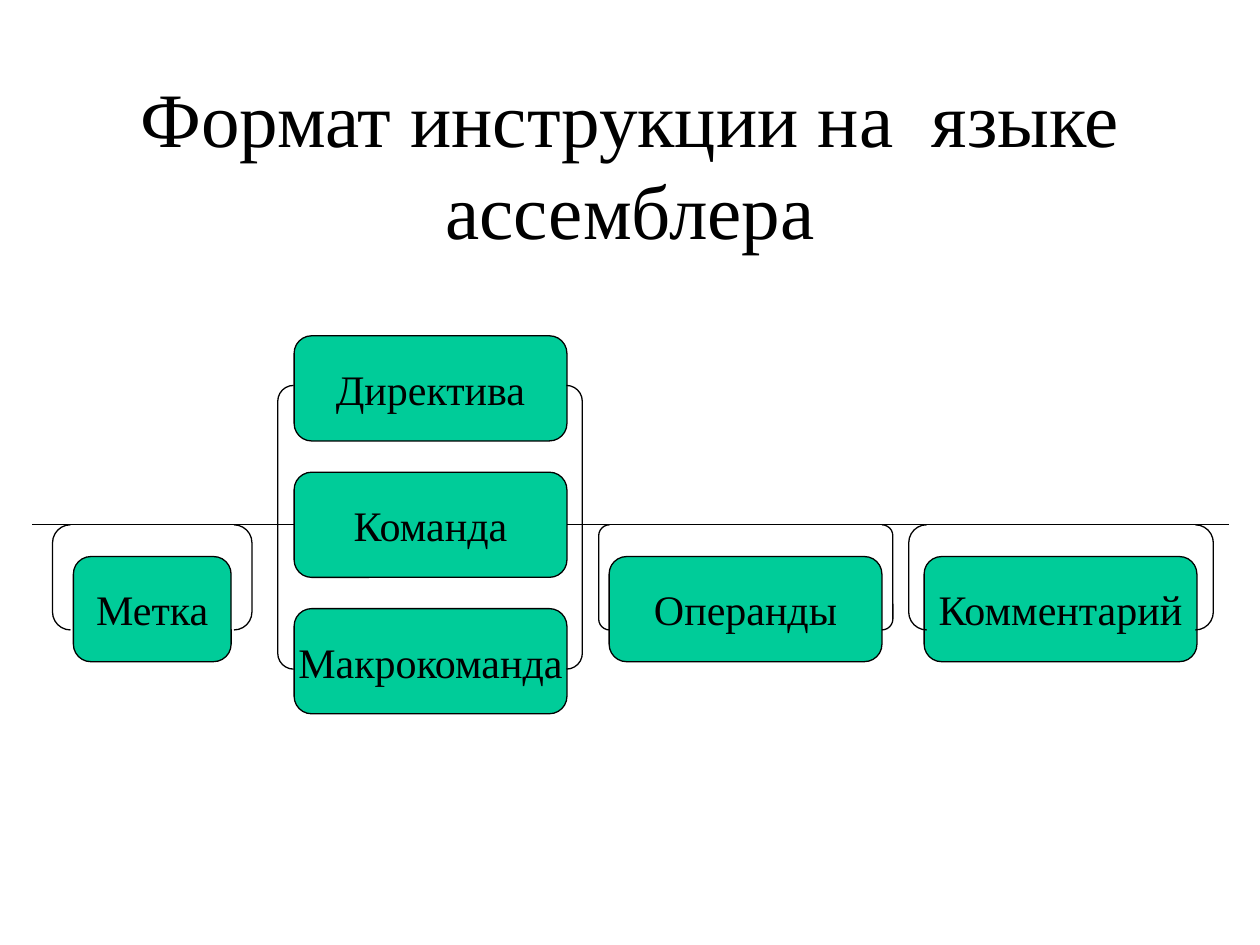
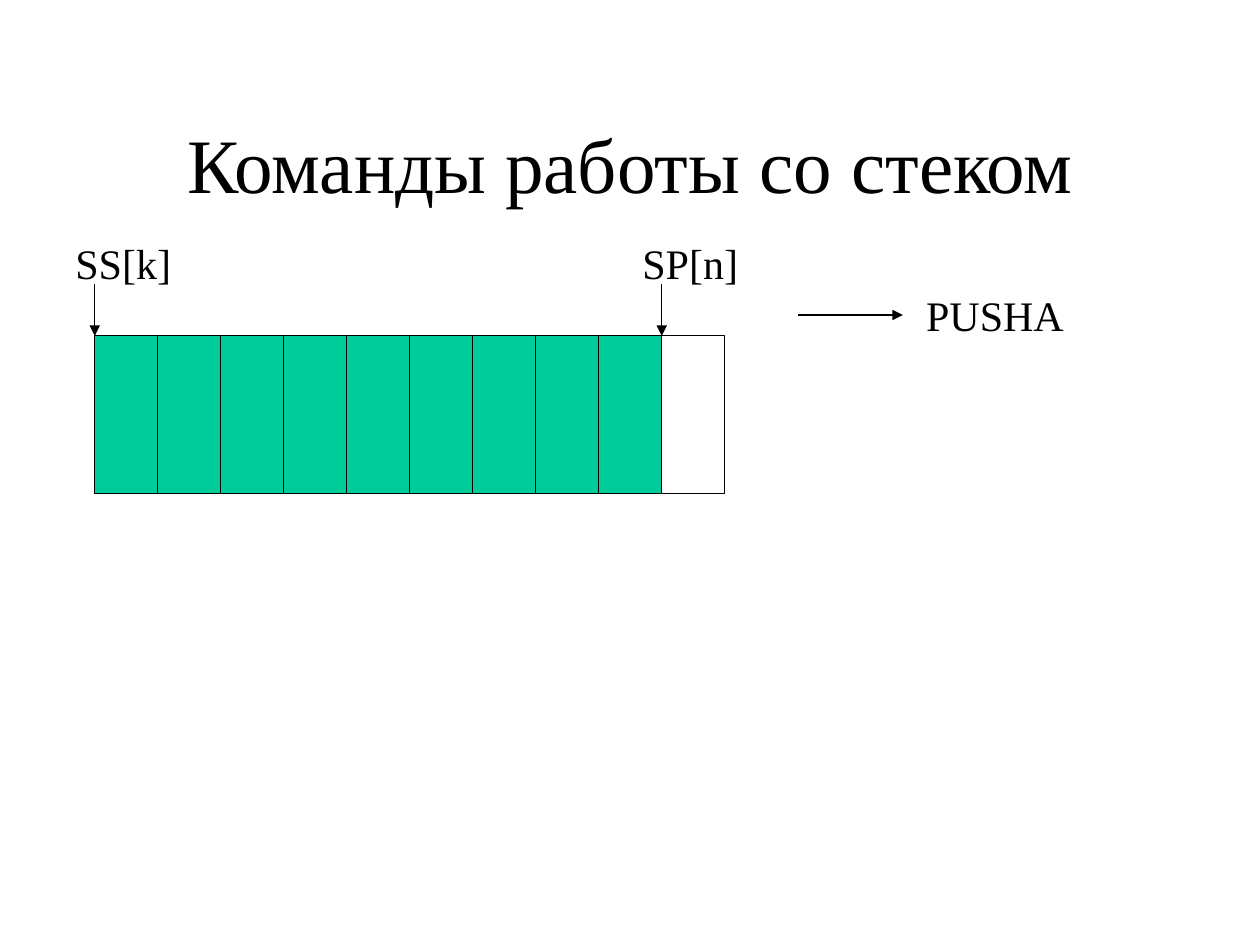
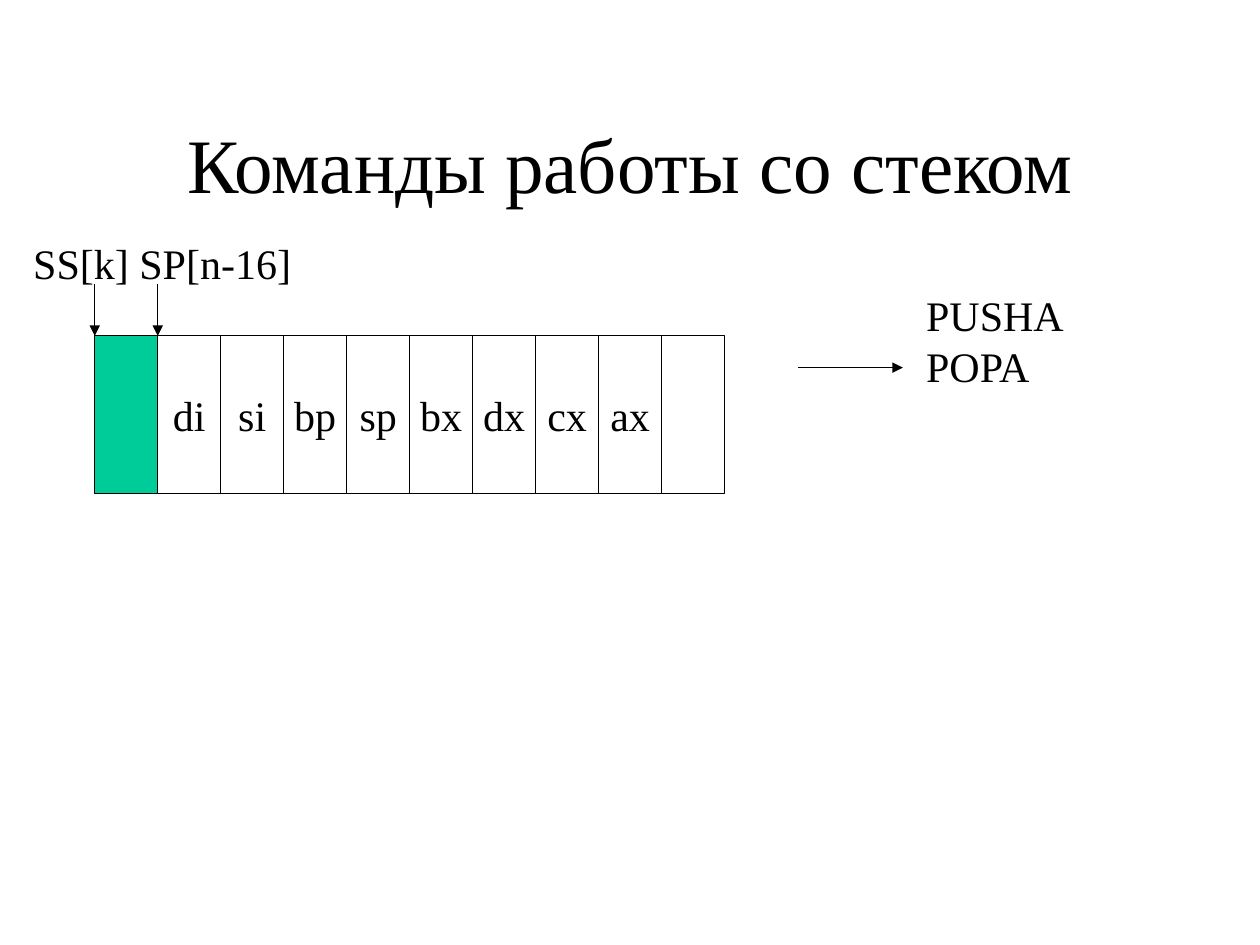
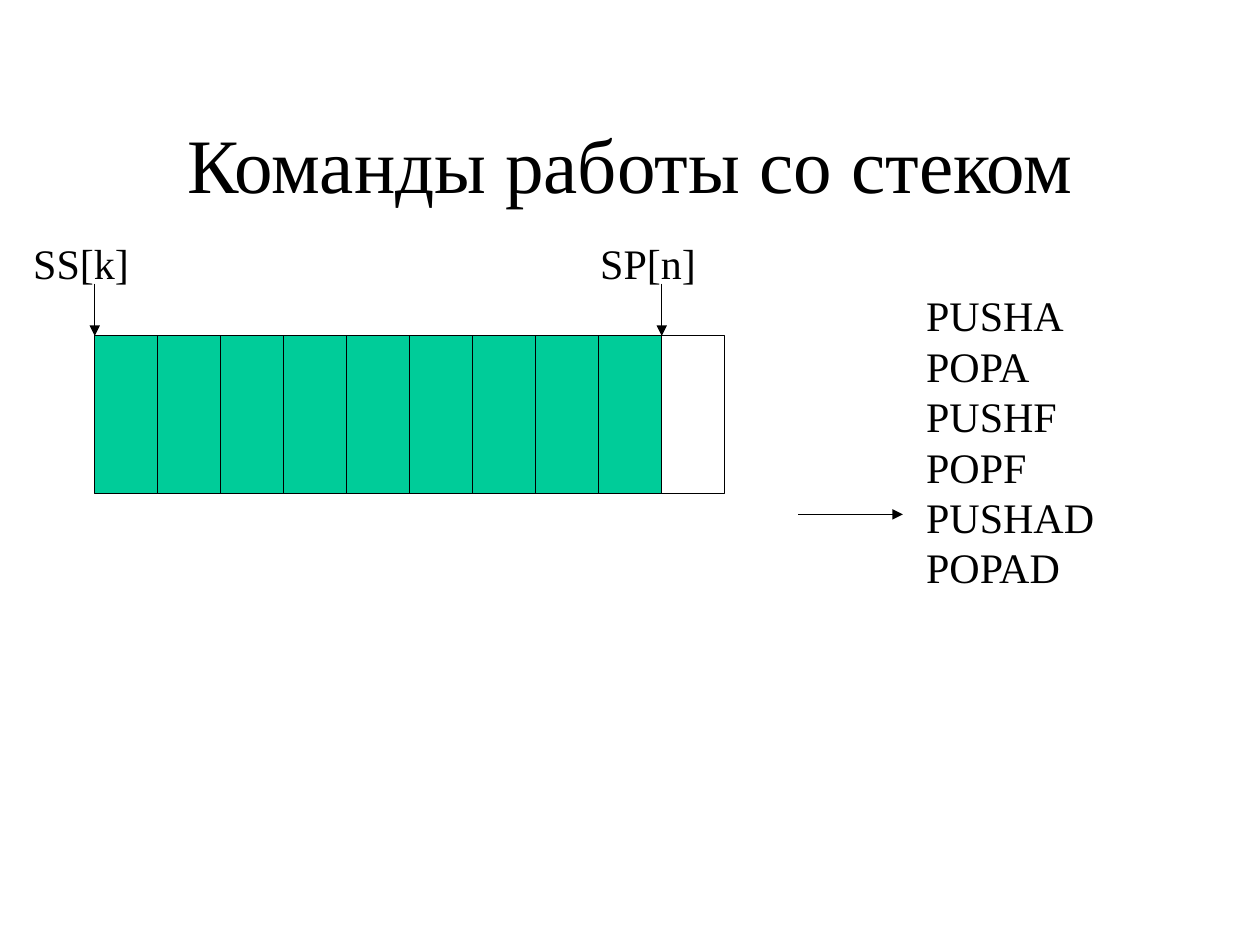
from lxml import etree
from pptx import Presentation
from pptx.dml.color import RGBColor
from pptx.enum.shapes import MSO_CONNECTOR, MSO_SHAPE
from pptx.enum.text import MSO_ANCHOR, MSO_AUTO_SIZE, PP_ALIGN
from pptx.oxml.ns import qn
from pptx.util import Cm, Pt

RECTANGLE = MSO_SHAPE.RECTANGLE
ROUNDED = MSO_SHAPE.FLOWCHART_ALTERNATE_PROCESS
BRACKETS = MSO_SHAPE.DOUBLE_BRACKET
STRAIGHT = MSO_CONNECTOR.STRAIGHT
MIDDLE = MSO_ANCHOR.MIDDLE
CENTER, LEFT = PP_ALIGN.CENTER, PP_ALIGN.LEFT
FIXED, GROW = MSO_AUTO_SIZE.NONE, MSO_AUTO_SIZE.SHAPE_TO_FIT_TEXT

COLORS = {"ink": "000000", "green": "00CC99", "paper": "FFFFFF"}
FONT = "Times New Roman"
TITLE_SIZE, TEXT_SIZE = 44, 24
TITLE_ONLY = 5

# All lengths below are centimetres.
STACK_LEFT, STACK_TOP = 1.91, 6.77
CELL_WIDTH, CELL_HEIGHT, CELL_COUNT = 1.27, 3.18, 10
LABEL_TOP, MARKER_TOP = 4.66, 5.72


def color(name):
    return RGBColor.from_string(COLORS[name])


class SlideBuilder:
    def __init__(self):
        self.deck = Presentation()
        self.deck.slide_width, self.deck.slide_height = Cm(25.4), Cm(19.05)
        self.page = None

    def fill_text(self, frame, text, size=TEXT_SIZE, align=CENTER):
        para = frame.paragraphs[0]
        para.text = text
        para.alignment = align
        for span in para.runs:
            span.font.name = FONT
            span.font.size = Pt(size)
            span.font.color.rgb = color("ink")
        return para

    def start(self, title):
        self.page = self.deck.slides.add_slide(self.deck.slide_layouts[TITLE_ONLY])
        box = self.page.shapes.title
        box.left, box.top, box.width, box.height = Cm(1.91), Cm(1.69), Cm(21.59), Cm(3.18)
        frame = box.text_frame
        frame.auto_size, frame.vertical_anchor = FIXED, MIDDLE
        self.fill_text(frame, title, TITLE_SIZE)

    def shape(self, kind, left, top, width, height, fill=None, text=""):
        box = self.page.shapes.add_shape(kind, Cm(left), Cm(top), Cm(width), Cm(height))
        box.shadow.inherit = False
        if fill:
            box.fill.solid()
            box.fill.fore_color.rgb = color(fill)
        else:
            box.fill.background()
        self.outline(box)
        if text:
            box.text_frame.word_wrap = False
            box.text_frame.vertical_anchor = MIDDLE
            self.fill_text(box.text_frame, text)
        return box

    def outline(self, item):
        item.line.color.rgb = color("ink")
        item.line.width = Pt(0.75)

    def brackets(self, left, top, width, height, rounding):
        self.shape(BRACKETS, left, top, width, height).adjustments[0] = rounding

    def line(self, x1, y1, x2, y2, arrow=False):
        link = self.page.shapes.add_connector(STRAIGHT, Cm(x1), Cm(y1), Cm(x2), Cm(y2))
        self.outline(link)
        properties = link._element.spPr
        if arrow:
            etree.SubElement(properties.find(qn("a:ln")), qn("a:tailEnd"), type="triangle")
        etree.SubElement(properties, qn("a:effectLst"))

    def label(self, text, left, top, width, height, tab=None):
        box = self.page.shapes.add_textbox(Cm(left), Cm(top), Cm(width), Cm(height))
        frame = box.text_frame
        frame.word_wrap, frame.auto_size = True, GROW
        para = self.fill_text(frame, text, align=LEFT)
        para.space_before = Pt(15)
        if tab:
            stops = etree.SubElement(para._p.get_or_add_pPr(), qn("a:tabLst"))
            etree.SubElement(stops, qn("a:tab"), pos=str(Cm(tab)), algn="l")

    def stack(self, used, registers=()):
        """Draw the memory cells, the first ones used, then the saved registers."""
        for index in range(CELL_COUNT):
            saved = index - used
            text = registers[saved] if 0 <= saved < len(registers) else ""
            fill = "green" if index < used else "paper"
            self.shape(RECTANGLE, STACK_LEFT + index * CELL_WIDTH, STACK_TOP,
                       CELL_WIDTH, CELL_HEIGHT, fill, text)
        for cell in (0, used):
            x = STACK_LEFT + cell * CELL_WIDTH
            self.line(x, MARKER_TOP, x, STACK_TOP, arrow=True)

    def commands(self, names, height, arrow_y):
        self.label("\n".join(names), 18.42, 5.72, 4.66, height)
        self.line(16.09, arrow_y, 18.2, arrow_y, arrow=True)


def instruction_format(slides):
    slides.start("Формат инструкции на  языке ассемблера")
    wide, height, axis = 5.5, 2.12, 10.58
    for row, word in enumerate(("Директива", "Команда", "Макрокоманда")):
        slides.shape(ROUNDED, 5.93, 6.77 + row * 2.75, wide, height, "green", word)
    for word, left, width in (("Метка", 1.48, 3.18), ("Операнды", 12.28, wide),
                              ("Комментарий", 18.63, wide)):
        slides.shape(ROUNDED, left, 11.22, width, height, "green", word)
    slides.brackets(5.6, 7.77, 6.14, 5.72, 0.056)
    for left, width, rounding in ((1.06, 4.02, 0.171), (12.07, 5.93, 0.104),
                                  (18.32, 6.14, 0.171)):
        slides.brackets(left, axis, width, height, rounding)
    slides.line(5.93, axis, 0.64, axis)
    slides.line(11.43, axis, 24.77, axis)


def stack_slide(slides, used, pointers, left, width, names, height, arrow_y, registers=()):
    slides.start("Команды работы со стеком")
    slides.stack(used, registers)
    slides.label(pointers, left, LABEL_TOP, width, 1.27,
                 tab=used * CELL_WIDTH if "\t" in pointers else None)
    slides.commands(names, height, arrow_y)


def main():
    slides = SlideBuilder()
    instruction_format(slides)
    names = ("PUSHA", "POPA", "PUSHF", "POPF", "PUSHAD", "POPAD")
    registers = ("di", "si", "bp", "sp", "bx", "dx", "cx", "ax")
    stack_slide(slides, 9, "SS[k]\tSP[n]", 1.27, 15.45, names[:1], 1.27, 6.35)
    stack_slide(slides, 1, "SS[k] SP[n-16]", 0.42, 13.76, names[:2], 2.29, 7.41, registers)
    stack_slide(slides, 9, "SS[k]\tSP[n]", 0.42, 15.03, names, 6.35, 10.37)
    slides.deck.save("out.pptx")


if __name__ == "__main__":
    main()
